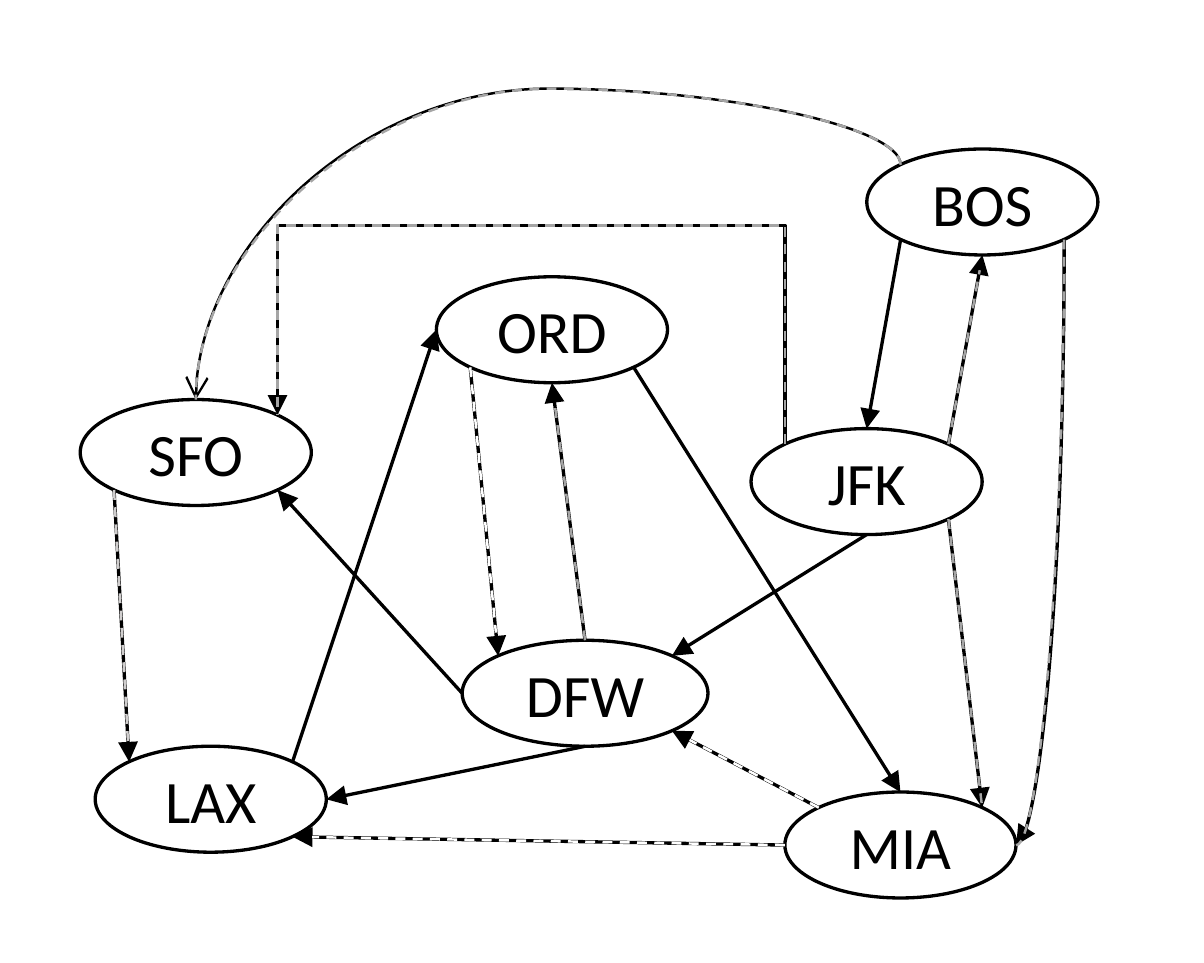
import math
from dataclasses import dataclass
from typing import Optional

import pptx
import pptx.dml.color
import pptx.enum.dml
import pptx.enum.shapes
import pptx.enum.text
import pptx.oxml
import pptx.oxml.ns
import pptx.util

Pt = pptx.util.Pt
qn = pptx.oxml.ns.qn
Kind = pptx.enum.shapes.MSO_CONNECTOR
SITES = ["N", "NW", "W", "SW", "S", "SE", "E", "NE"]


@dataclass(frozen=True)
class Theme:
    ink: str = "000000"
    paper: str = "FFFFFF"
    gray: str = "A5A5A5"
    pale: str = "D0CECE"
    font: str = "Calibri"
    size: float = 18
    line: float = 1
    thin: float = 0.75


theme = Theme()


@dataclass(frozen=True)
class Port:
    code: str
    left: float
    top: float
    width: float = 69.1
    height: float = 31.7

    def site(self, name: str) -> tuple[float, float]:
        turn = math.radians(90 + 45 * SITES.index(name))
        return (self.left + self.width / 2 * (1 + math.cos(turn)),
                self.top + self.height / 2 * (1 - math.sin(turn)))


@dataclass(frozen=True)
class Bend:
    shape: str
    turn: int
    flips: str = ""
    apex: Optional[float] = None


@dataclass(frozen=True)
class Route:
    start: str
    leave: str
    end: str
    reach: str
    dash: Optional[str] = None
    span: float = 1
    bend: Optional[Bend] = None
    head: str = "triangle"
    width: float = theme.line


PORTS = [
    Port("SFO", 24, 119.5),
    Port("BOS", 259.2, 44.6),
    Port("JFK", 224.6, 128.2),
    Port("DFW", 138.2, 191.5, width=73.5),
    Port("LAX", 28.5, 223.2),
    Port("MIA", 234.7, 236.9),
    Port("ORD", 130.5, 82.8),
]

ROUTES = [
    Route("BOS", "NW", "SFO", "N", theme.gray, head="arrow", width=theme.thin,
          bend=Bend("curvedConnector3", 270, "HV", apex=26.5)),
    Route("BOS", "SE", "MIA", "E", theme.gray, bend=Bend("curvedConnector2", 90)),
    Route("BOS", "SW", "JFK", "N"),
    Route("JFK", "NE", "BOS", "S", theme.gray, 0.92),
    Route("JFK", "SE", "MIA", "NE", theme.gray),
    Route("ORD", "SE", "MIA", "N"),
    Route("MIA", "W", "LAX", "SE", theme.paper, 0.96),
    Route("MIA", "NW", "DFW", "SE", theme.paper, 0.88),
    Route("JFK", "S", "DFW", "NE"),
    Route("JFK", "NW", "SFO", "NE", theme.gray,
          bend=Bend("bentConnector3", 270, "V", apex=67.5)),
    Route("DFW", "N", "ORD", "S", theme.gray, 0.93),
    Route("DFW", "S", "LAX", "E"),
    Route("DFW", "W", "SFO", "SE"),
    Route("SFO", "SW", "LAX", "NW", theme.pale, 0.94),
    Route("ORD", "SW", "DFW", "NW", theme.paper, 0.92),
    Route("LAX", "NE", "ORD", "W"),
]


def tint(code: str) -> pptx.dml.color.RGBColor:
    return pptx.dml.color.RGBColor.from_string(code)


def node(tag: str, attrs: str = ""):
    return pptx.oxml.parse_xml(f'<a:{tag} {pptx.oxml.ns.nsdecls("a")} {attrs}/>')


def write(shape, text: str, *, size: float, color: str, font: str) -> None:
    frame = shape.text_frame
    frame.margin_left = frame.margin_right = Pt(0)
    frame.vertical_anchor = pptx.enum.text.MSO_ANCHOR.MIDDLE
    frame.word_wrap = True
    para = frame.paragraphs[0]
    para.alignment = pptx.enum.text.PP_ALIGN.CENTER
    run = para.add_run()
    run.text = text
    run.font.size = Pt(size)
    run.font.name = font
    run.font.color.rgb = tint(color)


def draw_port(slide, port: Port) -> None:
    oval = slide.shapes.add_shape(
        pptx.enum.shapes.MSO_SHAPE.OVAL,
        Pt(port.left), Pt(port.top), Pt(port.width), Pt(port.height))
    oval.shadow.inherit = False
    oval.fill.solid()
    oval.fill.fore_color.rgb = tint(theme.paper)
    oval.line.color.rgb = tint(theme.ink)
    oval.line.width = Pt(theme.line)
    write(oval, port.code, size=theme.size, color=theme.ink, font=theme.font)


def bend_link(slide, bend: Bend, start: tuple[float, float], end: tuple[float, float]):
    (x1, y1), (x2, y2) = start, end
    mid_x, mid_y = (x1 + x2) / 2, (y1 + y2) / 2
    half_w, half_h = abs(y2 - y1) / 2, abs(x2 - x1) / 2
    link = slide.shapes.add_connector(
        Kind.CURVE, Pt(mid_x - half_w), Pt(mid_y - half_h),
        Pt(mid_x + half_w), Pt(mid_y + half_h))
    props = link._element.spPr
    frame = props.find(qn("a:xfrm"))
    frame.set("rot", str(bend.turn * 60000))
    for axis in bend.flips:
        frame.set("flip" + axis, "1")
    form = props.find(qn("a:prstGeom"))
    form.set("prst", bend.shape)
    if bend.apex is not None:
        ratio = round((bend.apex - y1) / (y2 - y1) * 100000)
        form.find(qn("a:avLst")).append(node("gd", f'name="adj1" fmla="val {ratio}"'))
    return link


def draw_link(slide, route: Route, ports: dict[str, Port], *, color: str,
              width: float, span: float = 1, dashed: bool = False) -> None:
    start = ports[route.start].site(route.leave)
    goal = ports[route.end].site(route.reach)
    end = tuple(a + (b - a) * span for a, b in zip(start, goal))
    if route.bend:
        link = bend_link(slide, route.bend, start, end)
    else:
        link = slide.shapes.add_connector(Kind.STRAIGHT, *map(Pt, start + end))
    link.line.color.rgb = tint(color)
    link.line.width = Pt(width)
    props = link._element.spPr
    if dashed:
        link.line.dash_style = pptx.enum.dml.MSO_LINE.DASH
    else:
        props.find(qn("a:ln")).append(node("tailEnd", f'type="{route.head}"'))
    props.append(node("effectLst"))


def main() -> None:
    deck = pptx.Presentation()
    deck.slide_width, deck.slide_height = Pt(360), Pt(288)
    slide = deck.slides.add_slide(deck.slide_layouts[6])
    ports = {port.code: port for port in PORTS}
    for port in PORTS:
        draw_port(slide, port)
    for route in ROUTES:
        draw_link(slide, route, ports, color=theme.ink, width=route.width)
        if route.dash:
            draw_link(slide, route, ports, color=route.dash, width=theme.thin,
                      span=route.span, dashed=True)
    deck.save("out.pptx")


main()
